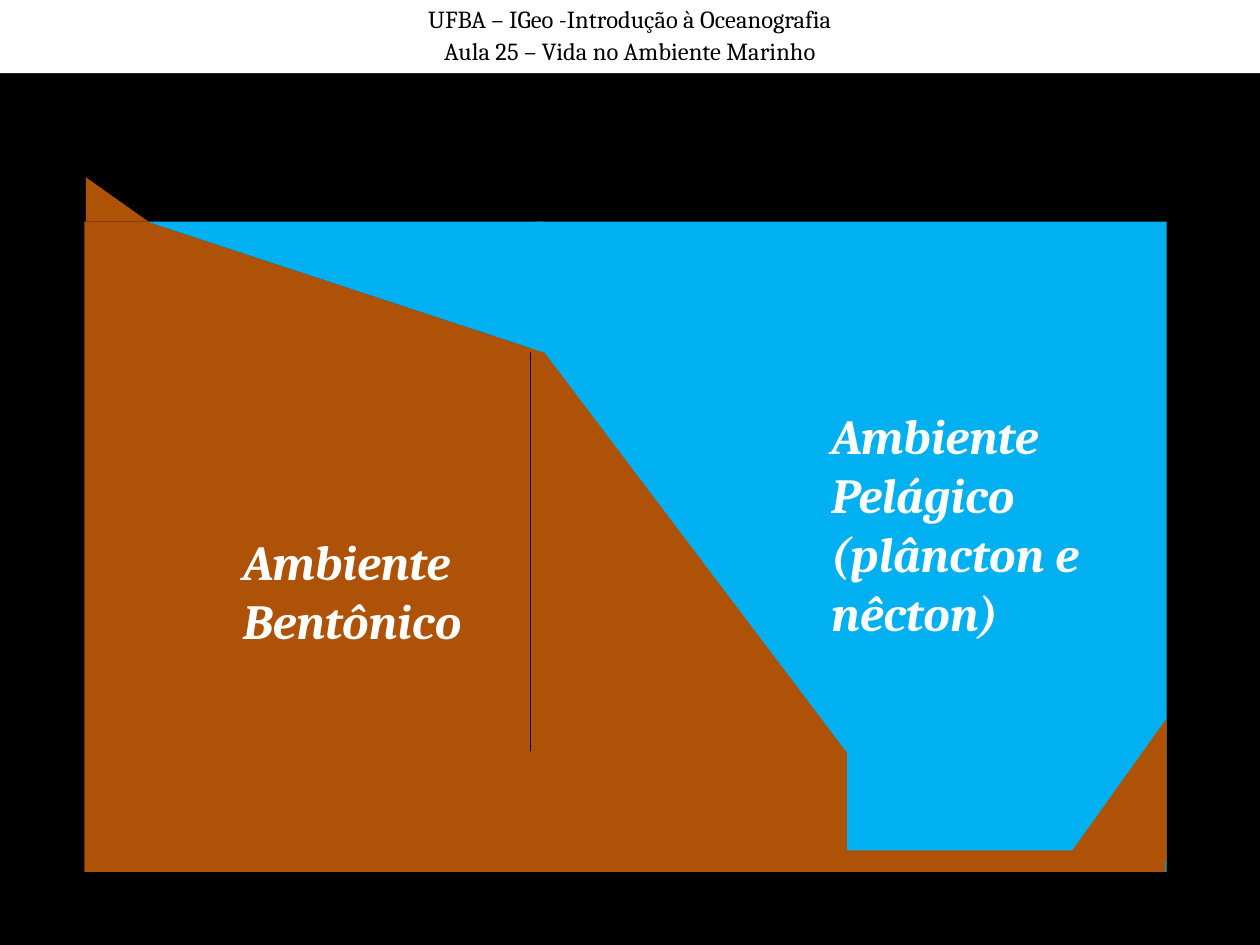
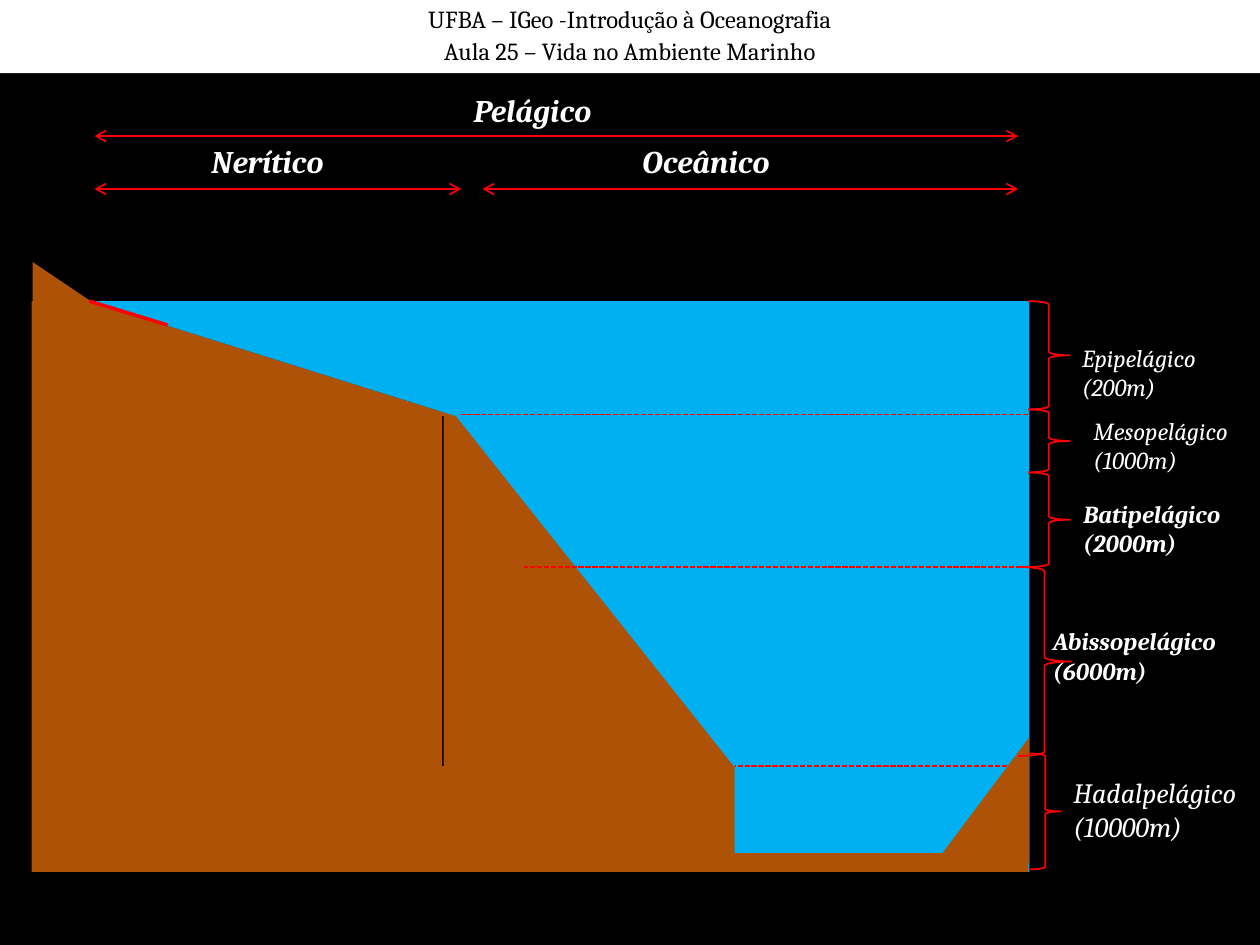
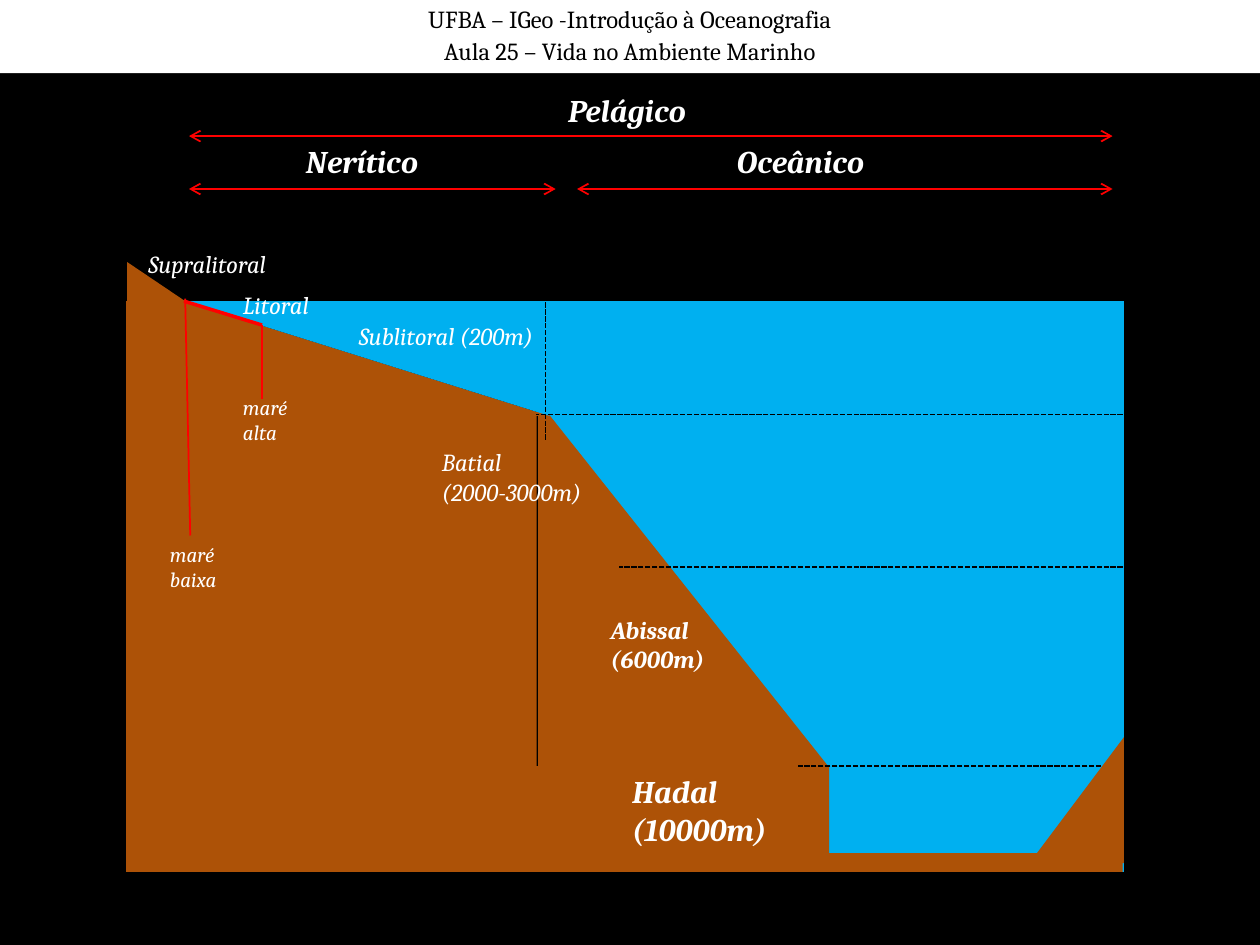
"""Build three slides on the zones of the marine environment."""
from dataclasses import dataclass

from lxml import etree
from pptx import Presentation
from pptx import util as u
from pptx.dml.color import RGBColor
from pptx.enum import dml, shapes, text
from pptx.oxml.ns import qn

RECT = shapes.MSO_SHAPE.RECTANGLE
TRIANGLE = shapes.MSO_SHAPE.RIGHT_TRIANGLE
BRACE = shapes.MSO_SHAPE.RIGHT_BRACE


@dataclass(frozen=True)
class Theme:
    font: str = "Cambria"
    black: RGBColor = RGBColor(0, 0, 0)
    white: RGBColor = RGBColor(255, 255, 255)
    water: RGBColor = RGBColor(0x00, 0xB0, 0xF0)
    ground: RGBColor = RGBColor(0xAD, 0x52, 0x07)
    red: RGBColor = RGBColor(255, 0, 0)
    tide: int = 12
    body: int = 14
    deep: int = 16
    zone: int = 18
    large: int = 28
    thin: int = 1
    thick: int = 2


T = Theme()


@dataclass(frozen=True)
class Piece:
    x: float
    y: float
    w: float
    h: float
    kind: shapes.MSO_SHAPE = RECT
    fill: RGBColor = T.ground
    rotation: int = 0


@dataclass(frozen=True)
class Label:
    x: float
    y: float
    w: float
    h: float
    lines: tuple[str, ...]
    size: int = T.body
    bold: bool = False


@dataclass(frozen=True)
class Stroke:
    x1: float
    y1: float
    x2: float
    y2: float
    color: RGBColor = T.red
    width: int = T.thin
    dashed: bool = False
    arrows: bool = False


@dataclass(frozen=True)
class Bracket:
    x: float
    y: float
    w: float
    h: float


HEADER = ("UFBA – IGeo -Introdução à Oceanografia", "Aula 25 – Vida no Ambiente Marinho")
SEA_RIGHT = 8.16
SEA_TOP = 2.39
SHELF = (0.46, 0, 2.9, 0.91)
PROFILE = (
    Piece(3.31, 0, 4.61, 4.53, fill=T.water),
    Piece(*SHELF, TRIANGLE),
    Piece(3.27, 0.79, 2.31, 2.91, TRIANGLE),
    Piece(*SHELF, TRIANGLE, T.water, 180),
    Piece(0.46, 0.89, 2.8, 3.64),
    Piece(5.11, 4.38, 2.8, 0.15),
    Piece(0, 0, 0.48, 4.53),
    Piece(0.01, -0.31, 0.46, 0.31, TRIANGLE),
    Piece(7.17, 3.46, 0.75, 1, TRIANGLE, rotation=270),
    Piece(2.77, 3.69, 2.81, 0.84),
)
DEPTHS = (3.29, 4.5, 6.08)
ZONE_STROKES = (
    Stroke(0.75, 1.08, 8.08, 1.08, arrows=True),
    Stroke(0.75, 1.5, 3.66, 1.5, arrows=True),
    Stroke(3.83, 1.5, 8.08, 1.5, arrows=True),
    Stroke(0.71, SEA_TOP, 1.33, 2.58, width=T.thick),
)
ZONE_LABELS = (
    Label(3.66, 0.67, 1.42, 0.4, ("Pelágico",), T.zone, True),
    Label(1.58, 1.08, 1.25, 0.4, ("Nerítico",), T.zone, True),
    Label(5, 1.08, 1.25, 0.4, ("Oceânico",), T.zone, True),
)
ENVIRONMENTS = (
    Label(6.5, 3.17, 2.83, 1.97, ("Ambiente", "Pelágico (plâncton e nêcton)"), T.large, True),
    Label(1.83, 4.17, 2.58, 1.04, ("Ambiente Bentônico",), T.large, True),
)
PELAGIC_LABELS = (
    Label(8.49, 2.67, 1.58, 0.57, ("Epipelágico", "(200m)")),
    Label(8.58, 3.25, 1.58, 0.57, ("Mesopelágico", "(1000m)")),
    Label(8.5, 3.91, 1.58, 0.57, ("Batipelágico", "(2000m)"), bold=True),
    Label(8.26, 4.92, 1.83, 0.57, ("Abissopelágico", "(6000m)"), bold=True),
    Label(8.42, 6.11, 1.58, 0.9, ("Hadalpelágico", "(10000m)"), T.deep),
)
BRACKETS = (
    Bracket(SEA_RIGHT, SEA_TOP, 0.33, 0.86),
    Bracket(SEA_RIGHT, 3.25, 0.33, 0.5),
    Bracket(SEA_RIGHT, 3.75, 0.33, 0.75),
    Bracket(8.08, 4.5, 0.42, 1.5),
    Bracket(8.17, 5.98, 0.25, 0.92),
)
BENTHIC_LABELS = (
    Label(1.25, 4.25, 0.75, 0.5, ("maré baixa",), T.tide),
    Label(1.83, 3.08, 0.75, 0.5, ("maré alta",), T.tide),
    Label(2.75, 2.5, 2.17, 0.34, ("Sublitoral (200m)",)),
    Label(1.08, 1.93, 1.83, 0.34, ("Supralitoral",)),
    Label(1.83, 2.25, 1, 0.34, ("Litoral",)),
    Label(3.41, 3.5, 1.5, 0.57, ("Batial", "(2000-3000m)")),
    Label(4.75, 4.83, 1.17, 0.57, ("Abissal", "(6000m)"), bold=True),
    Label(4.92, 6.08, 1.5, 0.7, ("Hadal", "(10000m)"), T.zone, True),
)
BENTHIC_STROKES = (
    Stroke(1.47, 2.37, 1.51, 4.25),
    Stroke(2.08, 2.58, 2.08, 3.17),
    Stroke(4.33, 2.07, 4.33, 3.5, T.black, dashed=True),
)


def write(tf, lines: tuple[str, ...], size: int, color: RGBColor,
          bold: bool = False, italic: bool = False) -> None:
    """Write one paragraph per line, each with one formatted run."""
    for i, line in enumerate(lines):
        p = tf.add_paragraph() if i else tf.paragraphs[0]
        r = p.add_run()
        r.text = line
        r.font.name, r.font.size = T.font, u.Pt(size)
        r.font.bold, r.font.italic = bold, italic
        r.font.color.rgb = color


def add_slide(prs):
    """Add a slide with the white header band as its title."""
    s = prs.slides.add_slide(prs.slide_layouts[5])
    sp = s.shapes.title
    sp.left, sp.top = u.Inches(0), u.Inches(0)
    sp.width, sp.height = prs.slide_width, u.Inches(0.58)
    sp.fill.solid()
    sp.fill.fore_color.rgb = T.white
    tf = sp.text_frame
    tf.word_wrap = True
    tf.auto_size = text.MSO_AUTO_SIZE.NONE
    tf.vertical_anchor = text.MSO_ANCHOR.MIDDLE
    write(tf, HEADER, T.body, T.black)
    for i, p in enumerate(tf.paragraphs):
        p.alignment = text.PP_ALIGN.CENTER
        p.line_spacing = 0.9
        p.space_before = u.Pt(3.5 if i else 0)
    return s


def add_profile(s, left: float, top: float, sx: float = 1, sy: float = 1) -> None:
    """Draw the sea and its floor, scaled from the top left of the sea."""
    for piece in PROFILE:
        w, h = piece.w * sx, piece.h * sy
        cx, cy = left + piece.x * sx + w / 2, top + piece.y * sy + h / 2
        if piece.rotation % 180:
            w, h = h, w
        sp = s.shapes.add_shape(piece.kind, u.Inches(cx - w / 2), u.Inches(cy - h / 2),
                                u.Inches(w), u.Inches(h))
        sp.shadow.inherit = False
        sp.rotation = piece.rotation
        sp.fill.solid()
        sp.fill.fore_color.rgb = piece.fill
        sp.line.fill.background()


def add_label(s, label: Label, dx: float = 0) -> None:
    """Add an italic white label."""
    sp = s.shapes.add_textbox(u.Inches(label.x + dx), u.Inches(label.y),
                              u.Inches(label.w), u.Inches(label.h))
    tf = sp.text_frame
    tf.word_wrap = True
    tf.auto_size = text.MSO_AUTO_SIZE.SHAPE_TO_FIT_TEXT
    write(tf, label.lines, label.size, T.white, label.bold, True)


def add_stroke(s, stroke: Stroke, dx: float = 0) -> None:
    """Add a straight line, dashed or with two arrowheads if asked."""
    sp = s.shapes.add_connector(shapes.MSO_CONNECTOR.STRAIGHT,
                                u.Inches(stroke.x1 + dx), u.Inches(stroke.y1),
                                u.Inches(stroke.x2 + dx), u.Inches(stroke.y2))
    sp.line.color.rgb = stroke.color
    sp.line.width = u.Pt(stroke.width)
    if stroke.dashed:
        sp.line.dash_style = dml.MSO_LINE.SQUARE_DOT
    props = sp.element.find(qn("p:spPr"))
    if stroke.arrows:
        for end in ("a:headEnd", "a:tailEnd"):
            etree.SubElement(props.find(qn("a:ln")), qn(end), type="arrow")
    etree.SubElement(props, qn("a:effectLst"))


def add_bracket(s, bracket: Bracket) -> None:
    """Add a red brace that spans a depth range."""
    sp = s.shapes.add_shape(BRACE, u.Inches(bracket.x), u.Inches(bracket.y),
                            u.Inches(bracket.w), u.Inches(bracket.h))
    sp.shadow.inherit = False
    sp.fill.background()
    sp.line.color.rgb = T.red
    sp.line.width = u.Pt(T.thin)


def add_zones(s, dx: float, color: RGBColor, starts: tuple[float, ...]) -> None:
    """Draw the profile with its zone arrows and dashed depth limits."""
    add_profile(s, 0.25 + dx, SEA_TOP)
    for stroke in ZONE_STROKES:
        add_stroke(s, stroke, dx)
    for label in ZONE_LABELS:
        add_label(s, label, dx)
    for start, depth, end in zip(starts, DEPTHS, (SEA_RIGHT, SEA_RIGHT, 7.99)):
        add_stroke(s, Stroke(end, depth, start, depth, color, dashed=True), dx)


def environments_slide(prs) -> None:
    """Show the benthic and pelagic environments."""
    s = add_slide(prs)
    add_profile(s, 0.67, 1.76, 5 / 4.61, 5.16 / 4.53)
    for label in ENVIRONMENTS:
        add_label(s, label)


def pelagic_slide(prs) -> None:
    """Show the depth zones of the pelagic environment."""
    s = add_slide(prs)
    add_zones(s, 0, T.red, (3.66, 4.16, 5.83))
    for label in PELAGIC_LABELS:
        add_label(s, label)
    for bracket in BRACKETS:
        add_bracket(s, bracket)


def benthic_slide(prs) -> None:
    """Show the depth zones of the benthic environment."""
    s = add_slide(prs)
    add_zones(s, 0.75, T.black, (3.5, 4.16, 5.58))
    for stroke in BENTHIC_STROKES:
        add_stroke(s, stroke)
    for label in BENTHIC_LABELS:
        add_label(s, label)


def main() -> None:
    """Build and save the presentation."""
    prs = Presentation()
    prs.slide_width, prs.slide_height = u.Inches(10), u.Inches(7.5)
    fill = prs.slide_master.background.fill
    fill.solid()
    fill.fore_color.rgb = T.black
    environments_slide(prs)
    pelagic_slide(prs)
    benthic_slide(prs)
    prs.save("out.pptx")


if __name__ == "__main__":
    main()
